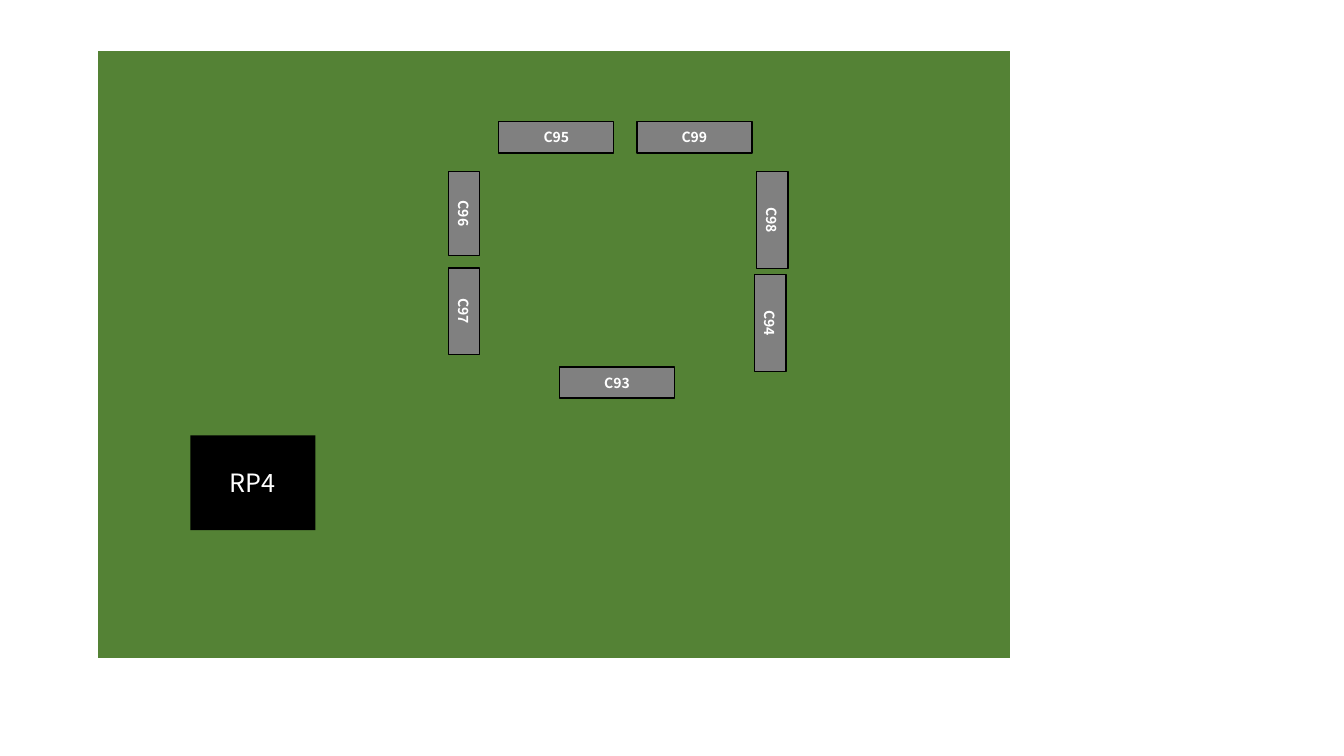
"""Build a circuit board layout slide with its capacitors and the RP4 chip."""
from dataclasses import dataclass

from pptx import Presentation
from pptx.dml.color import RGBColor
from pptx.enum.shapes import MSO_SHAPE
from pptx.enum.text import MSO_ANCHOR, PP_ALIGN
from pptx.shapes.autoshape import Shape
from pptx.slide import Slide
from pptx.util import Cm, Pt

RECTANGLE = MSO_SHAPE.RECTANGLE
MIDDLE = MSO_ANCHOR.MIDDLE
CENTER = PP_ALIGN.CENTER

FONT = "Noto Sans CJK KR"
COLORS = {
    "board": "548235",
    "capacitor": "808080",
    "black": "000000",
    "white": "FFFFFF",
}
CAPACITOR_WIDTH = 0.79
LEFT_COLUMN = 11.69
TOP_ROW = 3.46
ROW_LENGTH = 2.9
RIGHT_LENGTH = 2.44


@dataclass(frozen=True)
class Capacitor:
    """A capacitor by its centre and length in centimetres."""

    name: str
    center_x: float
    center_y: float
    length: float
    rotation: int = 0


CAPACITORS = [
    Capacitor("C98", 19.46, 5.55, RIGHT_LENGTH, 90),
    Capacitor("C96", LEFT_COLUMN, 5.38, 2.11, 90),
    Capacitor("C97", LEFT_COLUMN, 7.84, 2.18, 90),
    Capacitor("C95", 14.02, TOP_ROW, ROW_LENGTH),
    Capacitor("C99", 17.5, TOP_ROW, ROW_LENGTH),
    Capacitor("C94", 19.41, 8.14, RIGHT_LENGTH, 90),
    Capacitor("C93", 15.55, 9.64, ROW_LENGTH),
]


def color(name: str) -> RGBColor:
    """Return a named colour."""
    return RGBColor.from_string(COLORS[name])


def add_block(slide: Slide, left: float, top: float, width: float, height: float, fill: str) -> Shape:
    """Add a filled rectangle without outline or shadow."""
    shape = slide.shapes.add_shape(RECTANGLE, Cm(left), Cm(top), Cm(width), Cm(height))
    shape.shadow.inherit = False
    shape.fill.solid()
    shape.fill.fore_color.rgb = color(fill)
    shape.line.fill.background()
    return shape


def set_outline(shape: Shape, name: str, points: float) -> None:
    """Give a shape a solid outline."""
    shape.line.color.rgb = color(name)
    shape.line.width = Pt(points)


def add_label(shape: Shape, text: str, size: float, bold: bool) -> None:
    """Write a centred white label in a shape."""
    frame = shape.text_frame
    frame.vertical_anchor = MIDDLE
    paragraph = frame.paragraphs[0]
    paragraph.alignment = CENTER
    run = paragraph.add_run()
    run.text = text
    run.font.name = FONT
    run.font.size = Pt(size)
    run.font.bold = bold
    run.font.color.rgb = color("white")


def add_capacitor(slide: Slide, capacitor: Capacitor) -> None:
    """Draw one capacitor around its centre."""
    left = capacitor.center_x - capacitor.length / 2
    top = capacitor.center_y - CAPACITOR_WIDTH / 2
    shape = add_block(slide, left, top, capacitor.length, CAPACITOR_WIDTH, "capacitor")
    shape.rotation = capacitor.rotation
    set_outline(shape, "black", 1)
    add_label(shape, capacitor.name, 10, True)


def main() -> None:
    """Create and save the presentation."""
    presentation = Presentation()
    presentation.slide_width = Cm(33.87)
    presentation.slide_height = Cm(19.05)
    slide = presentation.slides.add_slide(presentation.slide_layouts[6])

    board = add_block(slide, 2.41, 1.24, 23.09, 15.39, "board")
    set_outline(board, "white", 3)
    for capacitor in CAPACITORS:
        add_capacitor(slide, capacitor)
    chip = add_block(slide, 4.8, 10.97, 3.15, 2.39, "black")
    add_label(chip, "RP4", 18, False)

    presentation.save("out.pptx")


main()
